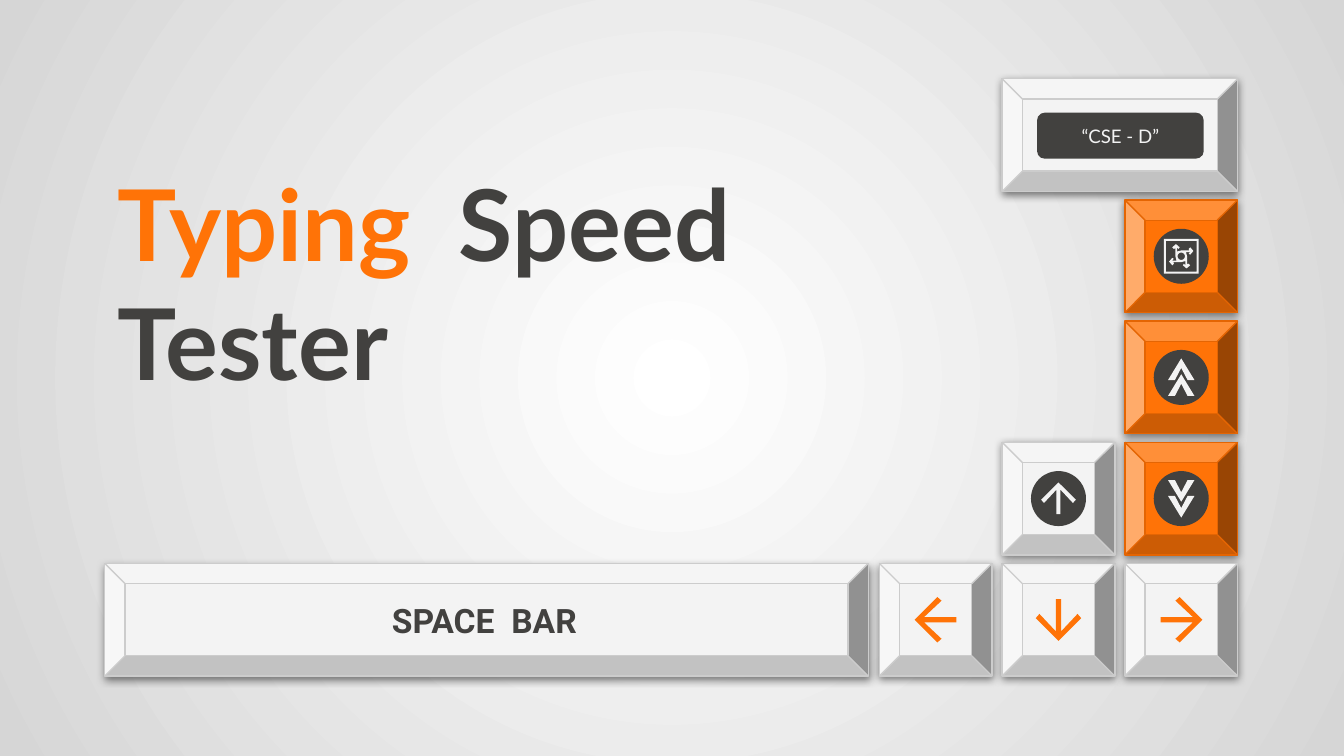
import math

from lxml import etree
from pptx import Presentation
from pptx import util as u
from pptx.dml.color import RGBColor
from pptx.enum import shapes, text
from pptx.oxml.ns import qn

ORANGE, DARK_ORANGE = "FF7307", "E46503"
LIGHT, GREY, DARK = "F3F3F3", "CCCCCC", "42413F"
KEY = 2.13
COLUMN_PITCH, ROW_PITCH = 2.32, 2.29
RIGHT, DOWN, LEFT, UP = range(4)

ARROW = [(-0.03, -0.43), (-0.11, -0.36), (0.22, -0.05), (-0.39, -0.05), (-0.39, 0.05),
         (0.22, 0.05), (-0.11, 0.36), (-0.03, 0.43), (0.4, 0)]
CHEVRON = [(-0.12, 0.05), (-0.25, 0.05), (0, -0.36), (0.25, 0.05), (0.12, 0.05), (0, -0.18)]
SWIRL_ARM = [(-0.1, -0.23), (-0.17, -0.17), (-0.14, -0.14), (-0.11, -0.15), (-0.11, 0),
             (-0.09, 0.08), (-0.17, 0.08), (-0.14, 0.05), (-0.17, 0.03)]


def color(value):
    return RGBColor.from_string(value)


def column(index):
    return 16.62 + COLUMN_PITCH * index


def row(index):
    return 1.49 + ROW_PITCH * index


def key_center(column_index, row_index):
    return column(column_index) + KEY / 2, row(row_index) + KEY / 2


def turn(points, quarters):
    for _ in range(quarters % 4):
        points = [(-y, x) for x, y in points]
    return points


def square(half):
    return turn([(-half, -half)], 0) + [p for q in (1, 2, 3) for p in turn([(-half, -half)], q)]


def set_background(slide):
    fill = slide.background.fill
    fill.gradient()
    for stop, value, position in zip(fill.gradient_stops, ("FFFFFF", "D6D6D6"), (0, 1)):
        stop.color.rgb = color(value)
        stop.position = position
    gradient = slide.element.find(".//" + qn("a:gradFill"))
    gradient.remove(gradient.find(qn("a:lin")))
    circle = etree.SubElement(gradient, qn("a:path"), {"path": "circle"})
    etree.SubElement(circle, qn("a:fillToRect"), {side: "50000" for side in "ltrb"})


def paint(shape, fill, line=None):
    shape.shadow.inherit = False
    shape.fill.solid()
    shape.fill.fore_color.rgb = color(fill)
    if line:
        shape.line.color.rgb = color(line)
        shape.line.width = u.Pt(0.75)
    else:
        shape.line.fill.background()


def add_shape(slide, kind, left, top, width, height, fill, line=None):
    shape = slide.shapes.add_shape(kind, u.Cm(left), u.Cm(top), u.Cm(width), u.Cm(height))
    paint(shape, fill, line)
    return shape


def add_key(slide, left, top, width=KEY, fill=LIGHT, line=GREY):
    key = add_shape(slide, shapes.MSO_SHAPE.BEVEL, left, top, width, KEY, fill, line)
    key.adjustments[0] = 0.18
    effects = key.element.spPr.find(qn("a:effectLst"))
    shadow = etree.SubElement(effects, qn("a:outerShdw"), {
        "blurRad": str(u.Pt(4.5)), "dist": str(u.Pt(1.5)), "dir": "5400000",
        "algn": "bl", "rotWithShape": "0"})
    shade = etree.SubElement(shadow, qn("a:srgbClr"), {"val": "000000"})
    etree.SubElement(shade, qn("a:alpha"), {"val": "50000"})


def add_badge(slide, center):
    size = 1.04
    x, y = center
    add_shape(slide, shapes.MSO_SHAPE.OVAL, x - size / 2, y - size / 2, size, size, DARK)


def add_icon(slide, center, contours, fill=LIGHT, scale=1):
    placed = [[(u.Cm(center[0] + x * scale), u.Cm(center[1] + y * scale)) for x, y in contour]
              for contour in contours]
    builder = slide.shapes.build_freeform(*placed[0][0])
    for index, contour in enumerate(placed):
        if index:
            builder.move_to(*contour[0])
        builder.add_line_segments(contour[1:], close=True)
    paint(builder.convert_to_shape(), fill)


def add_double_chevron(slide, center, quarters):
    for offset in (0, 0.3):
        points = [(x, y + offset) for x, y in CHEVRON]
        add_icon(slide, center, [turn(points, quarters)])


def add_swirl(slide, center):
    add_icon(slide, center, [square(0.33), square(0.29)[::-1]])
    outline = [point for quarter in range(4) for point in turn(SWIRL_ARM, -quarter)]
    angles = [math.tau * step / 24 for step in range(24)]
    hole = [(0.07 * math.cos(angle), 0.07 * math.sin(angle)) for angle in angles]
    add_icon(slide, center, [outline, hole])


def write(shape, runs, size, font, bold=False, align=text.PP_ALIGN.CENTER):
    frame = shape.text_frame
    frame.word_wrap = True
    frame.vertical_anchor = text.MSO_ANCHOR.MIDDLE
    frame.margin_left = frame.margin_right = u.Cm(0.25)
    frame.margin_top = frame.margin_bottom = u.Cm(0.25)
    paragraph = frame.paragraphs[0]
    paragraph.alignment = align
    paragraph.font.size = u.Pt(size)
    paragraph.font.name = font
    paragraph.font.bold = bold
    for content, value in runs:
        run = paragraph.add_run()
        run.text = content
        run.font.color.rgb = color(value)


def add_text(slide, left, top, width, height, runs, size, font, align):
    box = slide.shapes.add_textbox(u.Cm(left), u.Cm(top), u.Cm(width), u.Cm(height))
    write(box, runs, size, font, True, align)


def main():
    presentation = Presentation()
    presentation.slide_width, presentation.slide_height = u.Cm(25.4), u.Cm(14.29)
    slide = presentation.slides.add_slide(presentation.slide_layouts[6])
    set_background(slide)

    add_key(slide, 1.98, row(4), 14.43)
    add_text(slide, 2.41, 11.02, 13.49, 1.4, [("SPACE  BAR", DARK)], 18, "Roboto",
             text.PP_ALIGN.CENTER)
    add_text(slide, 1.98, 0.94, 16.87, 8.76, [("Typing  ", ORANGE), ("Speed Tester", DARK)],
             53, "Lato", text.PP_ALIGN.LEFT)

    add_key(slide, column(1), row(0), COLUMN_PITCH + KEY)
    label = add_shape(slide, shapes.MSO_SHAPE.ROUNDED_RECTANGLE, 19.6, 2.13, 3.15, 0.87, DARK)
    write(label, [("“CSE - D”", LIGHT)], 10, "Lato")

    for row_index in (1, 2, 3):
        add_key(slide, column(2), row(row_index), fill=ORANGE, line=DARK_ORANGE)
        add_badge(slide, key_center(2, row_index))
    add_swirl(slide, key_center(2, 1))
    add_double_chevron(slide, key_center(2, 2), 0)
    add_double_chevron(slide, key_center(2, 3), 2)

    for column_index, direction in enumerate((LEFT, DOWN, RIGHT)):
        add_key(slide, column(column_index), row(4))
        add_icon(slide, key_center(column_index, 4), [turn(ARROW, direction)], ORANGE)

    add_key(slide, column(1), row(3))
    add_badge(slide, key_center(1, 3))
    add_icon(slide, key_center(1, 3), [turn(ARROW, UP)], scale=0.76)

    presentation.save("out.pptx")


if __name__ == "__main__":
    main()
